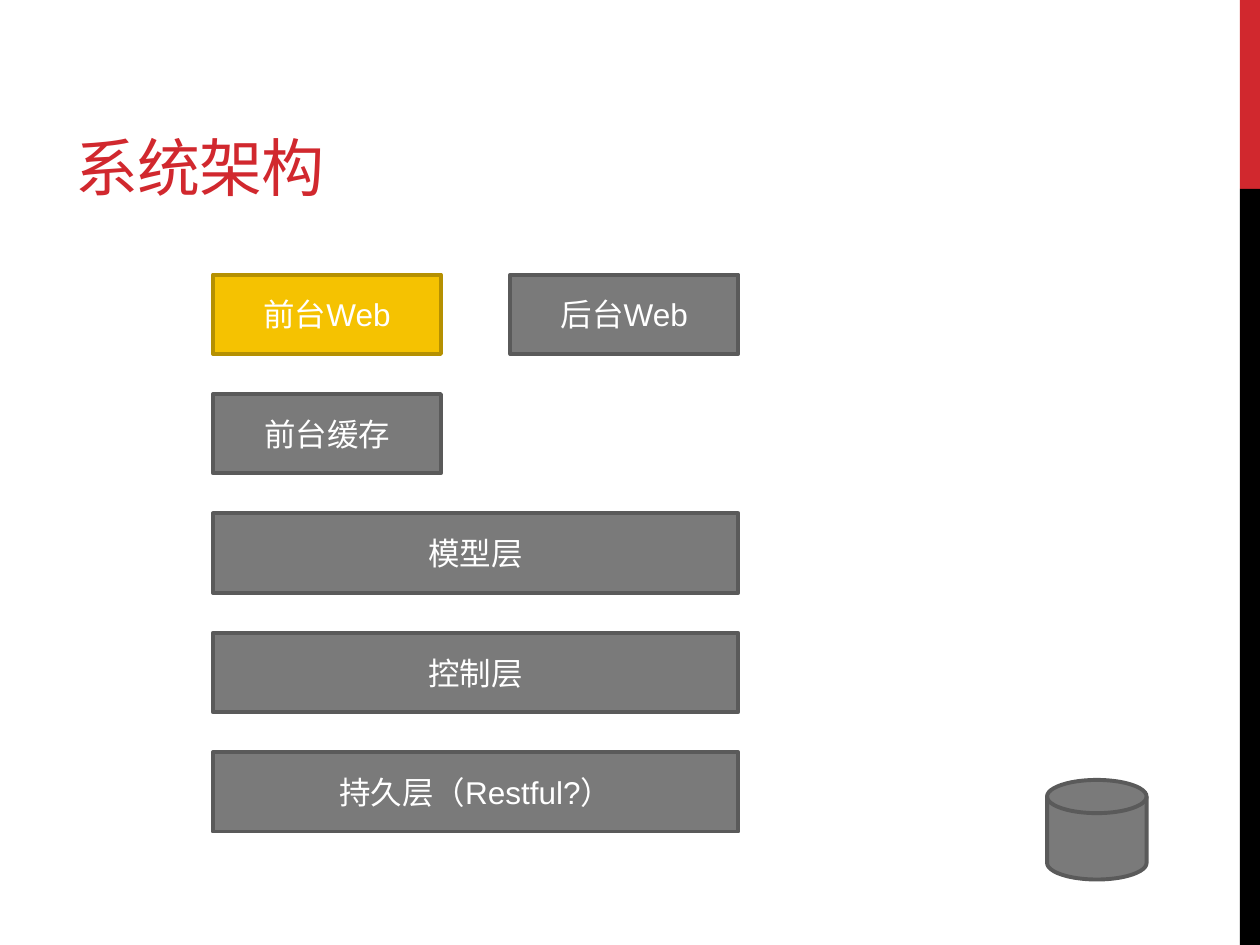
"""Build the system architecture slide: layered blocks, a data store and a side stripe."""
from dataclasses import dataclass
from typing import Optional

from pptx import Presentation
from pptx.dml.color import RGBColor
from pptx.enum.shapes import MSO_SHAPE
from pptx.enum.text import MSO_ANCHOR, PP_ALIGN
from pptx.util import Inches, Pt

COLORS = {
    "red": "D1282E", "black": "000000", "white": "FFFFFF",
    "gray": "7A7A7A", "gray_edge": "5A5A5A",
    "gold": "F5C201", "gold_edge": "B59001",
}
WIDTH, HEIGHT = 10, 7.5
GRID_LEFT, GRID_TOP = 1.69, 2.18
BLOCK_WIDTH, BLOCK_HEIGHT = 1.81, 0.63
COLUMN_PITCH, ROW_PITCH = 2.36, (5.97 - 2.18) / 4
STRIPE_LEFT = 9.84
STRIPE_SPLIT = 0.2 * HEIGHT


@dataclass(frozen=True)
class Box:
    left: float
    top: float
    width: float
    height: float

    def lengths(self) -> list:
        return [Inches(v) for v in (self.left, self.top, self.width, self.height)]


@dataclass(frozen=True)
class Layer:
    label: str
    row: int
    column: int = 0
    span: int = 1
    color: str = "gray"

    def box(self) -> Box:
        return Box(
            GRID_LEFT + self.column * COLUMN_PITCH,
            GRID_TOP + self.row * ROW_PITCH,
            BLOCK_WIDTH + (self.span - 1) * COLUMN_PITCH,
            BLOCK_HEIGHT,
        )


LAYERS = [
    Layer("前台Web", 0, color="gold"),
    Layer("后台Web", 0, column=1),
    Layer("前台缓存", 1),
    Layer("模型层", 2, span=2),
    Layer("控制层", 3, span=2),
    Layer("持久层（Restful?）", 4, span=2),
]
STRIPES = {
    "red": Box(STRIPE_LEFT, 0, WIDTH - STRIPE_LEFT, STRIPE_SPLIT),
    "black": Box(STRIPE_LEFT, STRIPE_SPLIT, WIDTH - STRIPE_LEFT, HEIGHT - STRIPE_SPLIT),
}
TITLE_FONT = {"name": "Montserrat", "size": Pt(36)}
LABEL_FONT = {"name": "Arial", "size": Pt(18)}
TITLE_FRAME = {"word_wrap": True, "vertical_anchor": MSO_ANCHOR.BOTTOM}
LABEL_FRAME = {"word_wrap": True, "vertical_anchor": MSO_ANCHOR.MIDDLE}


def rgb(color: str) -> RGBColor:
    return RGBColor.from_string(COLORS[color])


def apply(target, values: dict) -> None:
    for attribute, value in values.items():
        setattr(target, attribute, value)


def draw_shape(slide, kind, box: Box, color: str, edge: Optional[str] = None):
    shape = slide.shapes.add_shape(kind, *box.lengths())
    shape.shadow.inherit = False
    shape.fill.solid()
    shape.fill.fore_color.rgb = rgb(color)
    if edge:
        shape.line.color.rgb = rgb(edge)
        shape.line.width = Pt(2.25)
    else:
        shape.line.fill.background()
    return shape


def write(shape, text: str, color: str, font: dict, frame: dict, align):
    apply(shape.text_frame, frame)
    paragraph = shape.text_frame.paragraphs[0]
    paragraph.alignment = align
    run = paragraph.add_run()
    run.text = text
    apply(run.font, font)
    run.font.color.rgb = rgb(color)
    return run


def draw_layer(slide, layer: Layer) -> None:
    block = draw_shape(slide, MSO_SHAPE.RECTANGLE, layer.box(), layer.color, f"{layer.color}_edge")
    write(block, layer.label, "white", LABEL_FONT, LABEL_FRAME, PP_ALIGN.CENTER)


def main() -> None:
    deck = Presentation()
    apply(deck, {"slide_width": Inches(WIDTH), "slide_height": Inches(HEIGHT)})
    slide = deck.slides.add_slide(deck.slide_layouts[6])

    for color, box in STRIPES.items():
        draw_shape(slide, MSO_SHAPE.RECTANGLE, box, color)

    title = slide.shapes.add_textbox(*Box(0.5, 0.17, 6.33, 1.5).lengths())
    heading = write(title, "系统架构", "red", TITLE_FONT, TITLE_FRAME, PP_ALIGN.LEFT)
    heading.font._element.set("spc", "-60")

    draw_shape(slide, MSO_SHAPE.FLOWCHART_MAGNETIC_DISK, Box(8.31, 6.19, 0.79, 0.79), "gray", "gray_edge")
    for layer in LAYERS:
        draw_layer(slide, layer)

    deck.save("out.pptx")


if __name__ == "__main__":
    main()
